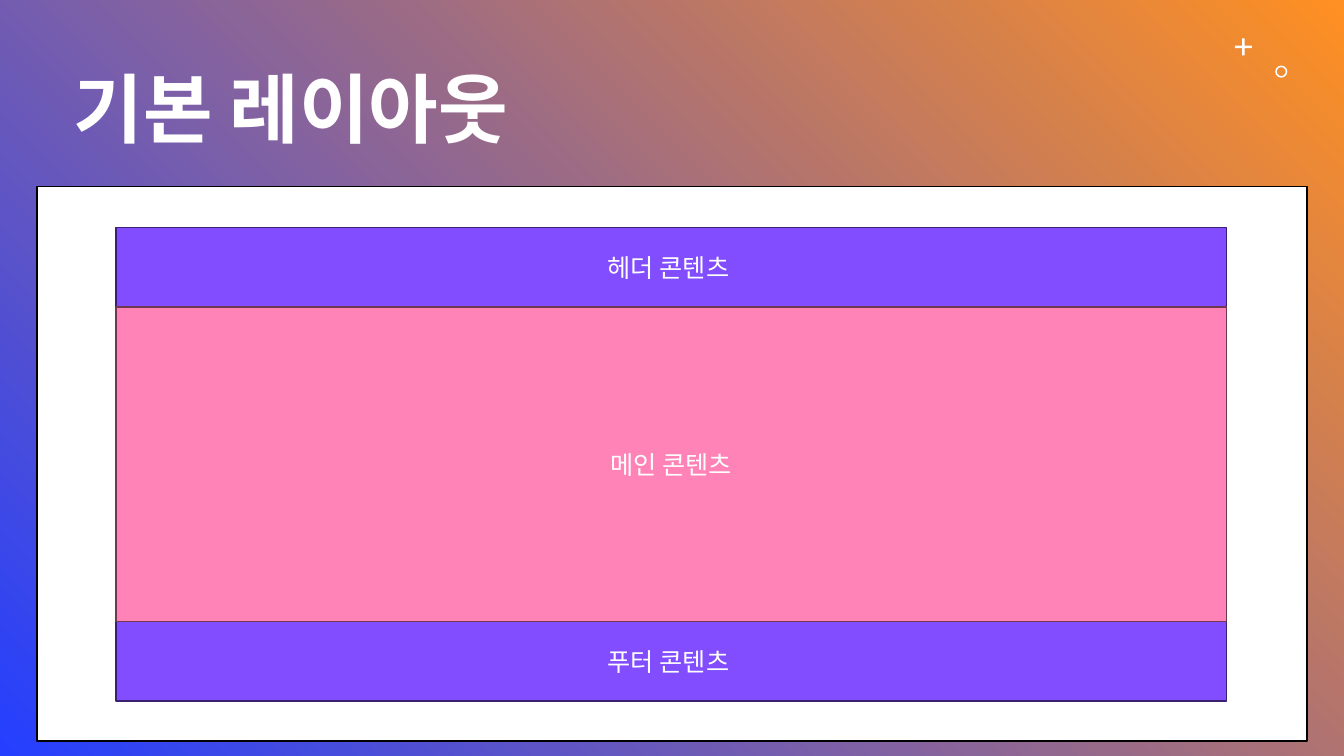
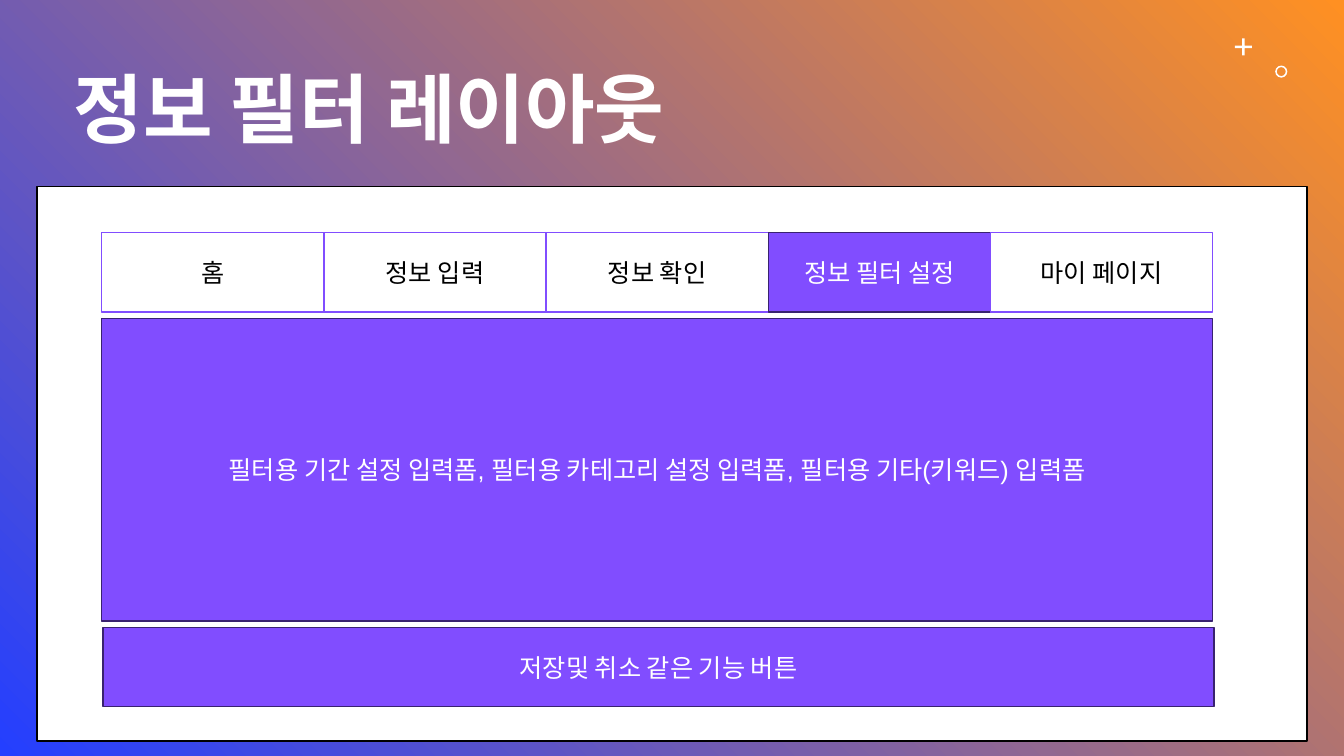
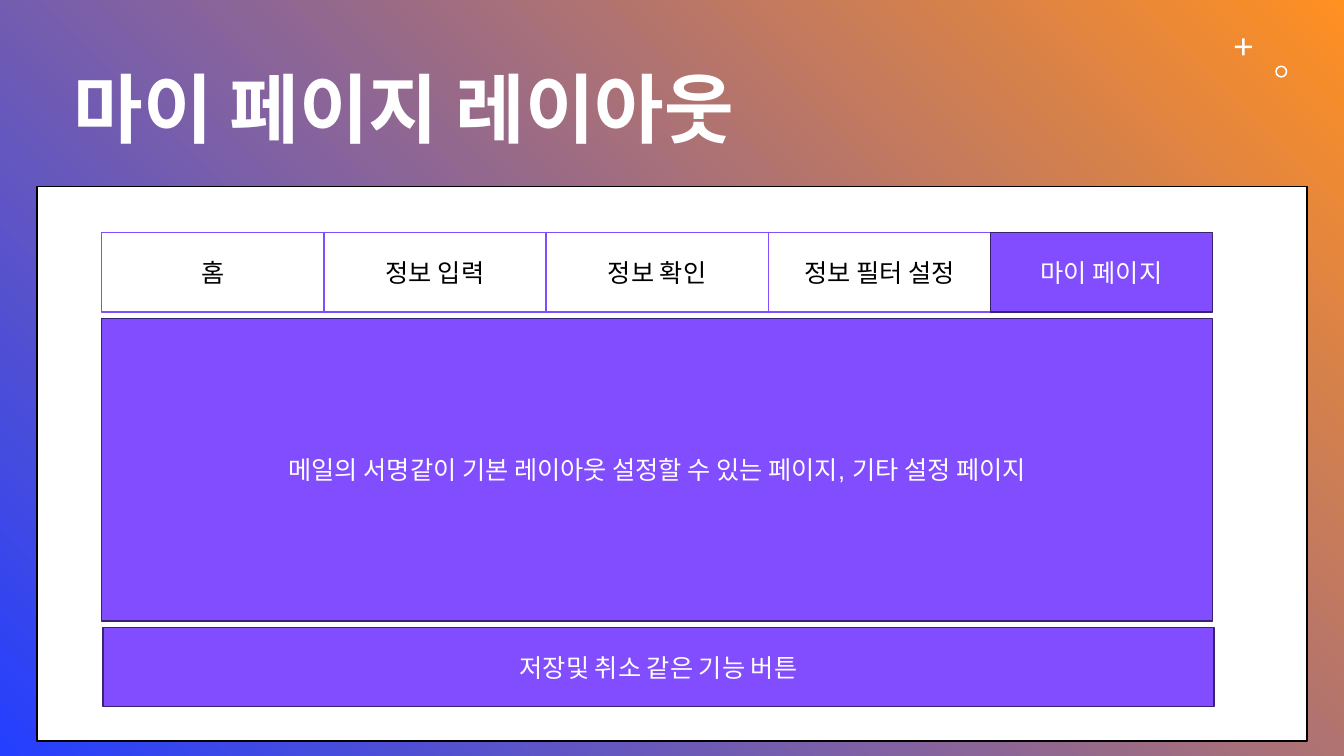
from dataclasses import dataclass

from lxml.etree import SubElement
from pptx import Presentation
from pptx.dml.color import RGBColor as Color
from pptx.enum.shapes import MSO_SHAPE as Preset
from pptx.enum.text import MSO_ANCHOR as Anchor, MSO_AUTO_SIZE as AutoSize, PP_ALIGN as Align
from pptx.oxml.ns import qn
from pptx.util import Inches, Pt


@dataclass(frozen=True)
class Theme:
    """Colours, fonts and type sizes of the deck."""
    blue: Color = Color.from_string("243FFF")
    orange: Color = Color.from_string("FF9022")
    white: Color = Color.from_string("FFFFFF")
    black: Color = Color.from_string("000000")
    violet: Color = Color.from_string("814DFF")
    violet_edge: Color = Color.from_string("392270")
    pink: Color = Color.from_string("FF83B6")
    pink_edge: Color = Color.from_string("703950")
    body_font: str = "Arial"
    korean_font: str = "Noto Sans CJK KR"
    title_size: int = 54
    body_size: int = 18


class LayoutDeck:
    """Wireframe deck placed on a grid of 100 columns by 100 rows."""

    def __init__(self, theme):
        """Set the slide size and the shared gradient background."""
        self.theme = theme
        self.deck = Presentation()
        self.deck.slide_width, self.deck.slide_height = Inches(13.33), Inches(7.5)
        self.page = None
        fill = self.deck.slide_master.background.fill
        fill.gradient()
        fill.gradient_angle = 45
        for stop, color in zip(fill.gradient_stops, (theme.blue, theme.orange)):
            stop.color.rgb = color

    def place(self, left, top, width, height):
        """Turn columns and rows into slide lengths."""
        column, row = self.deck.slide_width / 100, self.deck.slide_height / 100
        return [round(n) for n in (left * column, top * row, width * column, height * row)]

    def style(self, para, font, size, color, bold=False):
        """Format every run of a paragraph."""
        for span in para.runs:
            span.font.name, span.font.size, span.font.bold = font, Pt(size), bold
            span.font.color.rgb = color
            SubElement(span.font._element, qn("a:ea"), typeface=self.theme.korean_font)

    def shape(self, preset, area, fill, edge=None):
        """Draw a flat preset shape."""
        shape = self.page.shapes.add_shape(preset, *self.place(*area))
        shape.shadow.inherit = False
        shape.fill.solid()
        shape.fill.fore_color.rgb = fill
        if edge is None:
            shape.line.fill.background()
        else:
            shape.line.color.rgb = edge
            shape.line.width = Pt(1)
        return shape

    def block(self, area, text, fill, edge, color):
        """Draw a rectangle with a centred label."""
        box = self.shape(Preset.RECTANGLE, area, fill, edge)
        box.text_frame.text = text
        box.text_frame.word_wrap = True
        box.text_frame.vertical_anchor = Anchor.MIDDLE
        para = box.text_frame.paragraphs[0]
        para.alignment = Align.CENTER
        self.style(para, self.theme.body_font, self.theme.body_size, color)

    def violet_block(self, area, text):
        """Draw a filled violet block."""
        self.block(area, text, self.theme.violet, self.theme.violet_edge, self.theme.white)

    def start_page(self, title):
        """Add a slide with its ornaments, title and white panel."""
        theme = self.theme
        self.page = self.deck.slides.add_slide(self.deck.slide_layouts[5])
        plus = self.shape(Preset.CROSS, (91.88, 5.07, 1.27, 2.26), theme.white)
        plus.adjustments[0] = 0.43
        ring = self.shape(Preset.DONUT, (94.88, 8.67, 0.9, 1.6), theme.white)
        ring.adjustments[0] = 0.13
        self.title(title)
        self.shape(Preset.RECTANGLE, (2.75, 24.67, 94.5, 73.33), theme.white, theme.black)

    def title(self, text):
        """Fill and format the title placeholder."""
        box = self.page.shapes.title
        box.left, box.top, box.width, box.height = self.place(4.72, 5.33, 88.38, 19.33)
        frame = box.text_frame
        frame.text = text
        frame.auto_size = AutoSize.NONE
        frame.vertical_anchor = Anchor.MIDDLE
        para = frame.paragraphs[0]
        para.alignment = Align.LEFT
        para.line_spacing = 0.9
        self.style(para, self.theme.korean_font, self.theme.title_size, self.theme.white, True)

    def tabs(self, left, top, width, height, labels, active):
        """Draw equal tabs with the active one filled."""
        tab_width = width / len(labels)
        for index, label in enumerate(labels):
            area = (left + index * tab_width, top, tab_width, height)
            if label == active:
                self.violet_block(area, label)
            else:
                self.block(area, label, self.theme.white, self.theme.violet, self.theme.black)

    def basic_page(self, title, header, main, footer):
        """Stack header, main and footer blocks without gaps."""
        left, top, width, bar, body = 8.63, 30.1, 82.65, 10.5, 41.65
        self.start_page(title)
        self.violet_block((left, top, width, bar), header)
        self.violet_block((left, top + bar + body, width, bar), footer)
        self.block((left, top + bar, width, body), main,
                   self.theme.pink, self.theme.pink_edge, self.theme.white)

    def tabbed_page(self, title, labels, active, content, buttons):
        """Stack tabs, content and a button bar with equal gaps."""
        left, top, width, bar, body, gap = 7.57, 30.8, 82.65, 10.5, 40, 0.85
        content_top = top + bar + gap
        self.start_page(title)
        self.tabs(left, top, width, bar, labels, active)
        self.violet_block((left, content_top, width, body), content)
        self.violet_block((left + 0.1, content_top + body + gap, width, bar), buttons)


def main():
    """Build and save the three slides."""
    layouts = LayoutDeck(Theme())
    layouts.basic_page("기본 레이아웃", "헤더 콘텐츠 ", "메인 콘텐츠", "푸터 콘텐츠 ")
    labels = ["홈", "정보 입력", "정보 확인", "정보 필터 설정", "마이 페이지"]
    tabbed = [
        ("정보 필터 레이아웃", "정보 필터 설정",
         "필터용 기간 설정 입력폼, 필터용 카테고리 설정 입력폼, 필터용 기타(키워드) 입력폼"),
        ("마이 페이지 레이아웃", "마이 페이지",
         "메일의 서명같이 기본 레이아웃 설정할 수 있는 페이지, 기타 설정 페이지"),
    ]
    for title, active, content in tabbed:
        layouts.tabbed_page(title, labels, active, content, "저장및 취소 같은 기능 버튼")
    layouts.deck.save("out.pptx")


if __name__ == "__main__":
    main()
